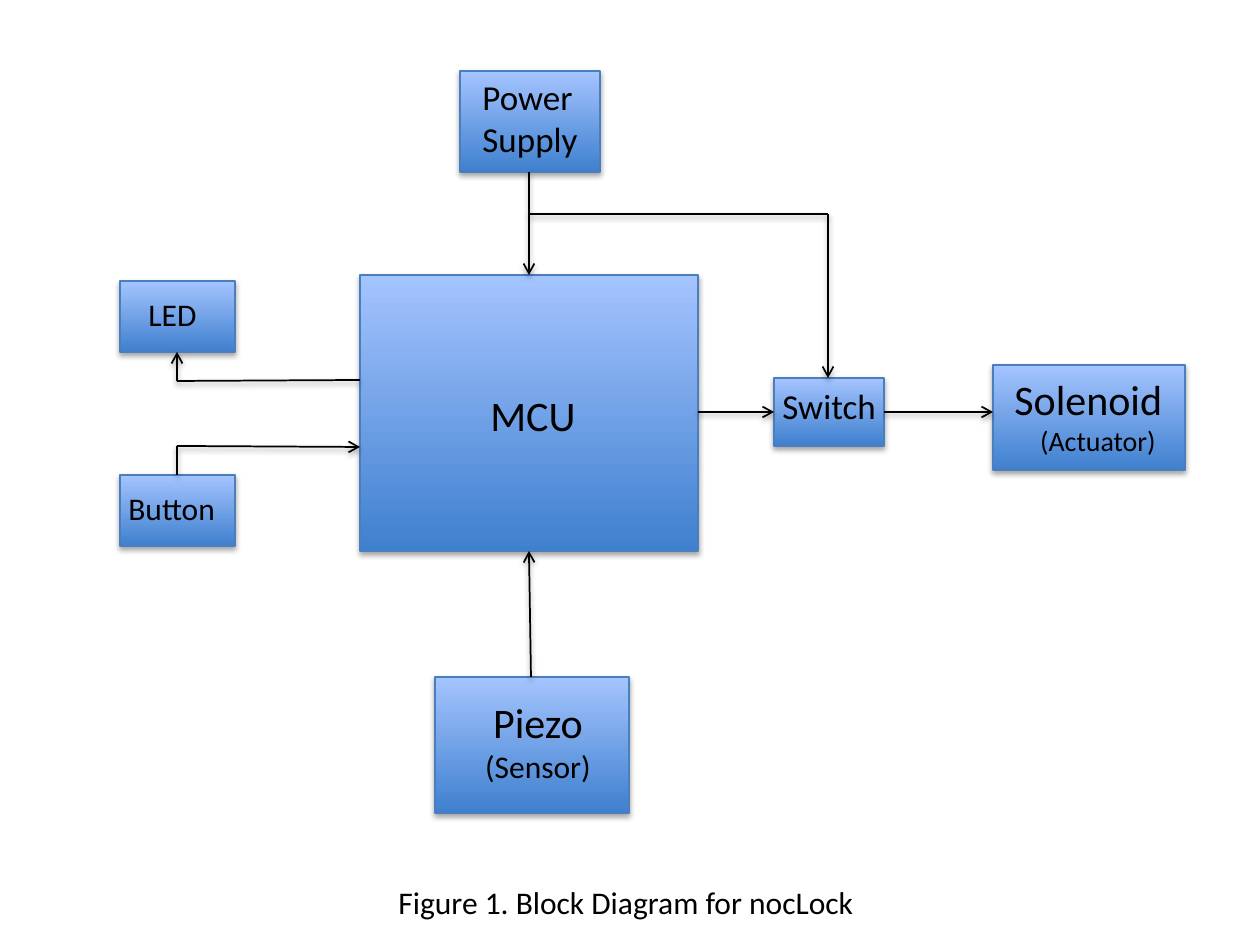
import pptx
import pptx.dml.color
import pptx.enum.shapes
import pptx.enum.text
import pptx.util
from lxml import etree
from pptx.oxml.ns import qn

EMU_PER_PX = 914400 / 126
FONT = "Calibri"
BLACK = "000000"
GRADIENT = ("3F80CE", "A4C4FF")  # bottom, top
BORDER = "4B7EBC"
LEFT = pptx.enum.text.PP_ALIGN.LEFT
CENTER = pptx.enum.text.PP_ALIGN.CENTER

# Block frame, label frame, label lines (text, size, alignment), label wraps
BLOCKS = [
    ((360, 275, 338, 276), (478, 383, 111, 63), [("MCU", 24, LEFT)], True),
    ((460, 71, 140, 101), (470, 69, 145, 97),
     [("Power", 20, LEFT), ("Supply", 20, LEFT)], True),
    ((774, 378, 110, 68), (770, 378, 156, 55), [("Switch", 20, LEFT)], True),
    ((993, 365, 192, 105), (1002, 367, 192, 97),
     [("Solenoid", 24, LEFT), ("(Actuator)", 16, CENTER)], True),
    ((435, 677, 194, 136), (472, 690, 132, 102),
     [("Piezo", 24, CENTER), ("(Sensor)", 18, CENTER)], False),
    ((120, 281, 115, 71), (136, 289, 96, 50), [("LED", 18, LEFT)], True),
    ((120, 475, 115, 71), (116, 483, 156, 50), [("Button", 18, LEFT)], True),
]

# Start, end, arrowhead at the end
WIRES = [
    ((529, 172), (529, 275), True),    # power supply to MCU
    ((529, 214), (828, 214), False),   # power branch to switch
    ((828, 214), (828, 378), True),
    ((698, 412), (774, 412), True),    # MCU to switch
    ((884, 412), (993, 412), True),    # switch to solenoid
    ((531, 677), (529, 551), True),    # piezo to MCU
    ((360, 380), (177, 381), False),   # MCU to LED
    ((177, 381), (177, 352), True),
    ((177, 446), (360, 447), True),    # button to MCU
    ((177, 446), (177, 475), False),
]


def px(value):
    return pptx.util.Emu(round(value * EMU_PER_PX))


def color(hex_string):
    return pptx.dml.color.RGBColor.from_string(hex_string)


def add_shadow(properties, distance, opacity):
    """Put a soft shadow below a shape or connector."""
    effects = properties.find(qn("a:effectLst"))
    if effects is None:
        effects = etree.SubElement(properties, qn("a:effectLst"))
    shadow = etree.SubElement(
        effects, qn("a:outerShdw"), blurRad="40000", dist=str(distance),
        dir="5400000", rotWithShape="0")
    shade = etree.SubElement(shadow, qn("a:srgbClr"), val=BLACK)
    etree.SubElement(shade, qn("a:alpha"), val=str(opacity * 1000))


def add_box(shapes, frame):
    shape = shapes.add_shape(
        pptx.enum.shapes.MSO_SHAPE.RECTANGLE, *map(px, frame))
    shape.fill.gradient()
    shape.fill.gradient_angle = 90
    for stop, hex_string in zip(shape.fill.gradient_stops, GRADIENT):
        stop.color.rgb = color(hex_string)
    shape.line.color.rgb = color(BORDER)
    shape.line.width = pptx.util.Pt(0.75)
    shape.shadow.inherit = False
    add_shadow(shape.element.spPr, 23000, 35)


def add_label(shapes, frame, lines, wrap=True):
    text_frame = shapes.add_textbox(*map(px, frame)).text_frame
    text_frame.word_wrap = wrap
    text_frame.auto_size = pptx.enum.text.MSO_AUTO_SIZE.SHAPE_TO_FIT_TEXT
    text_frame.text = "\n".join(text for text, _, _ in lines)
    for paragraph, (_, size, alignment) in zip(text_frame.paragraphs, lines):
        paragraph.alignment = alignment
        font = paragraph.runs[0].font
        font.name = FONT
        font.size = pptx.util.Pt(size)
        font.color.rgb = color(BLACK)


def add_wire(shapes, start, end, arrow):
    connector = shapes.add_connector(
        pptx.enum.shapes.MSO_CONNECTOR.STRAIGHT, *map(px, start + end))
    connector.line.color.rgb = color(BLACK)
    connector.line.width = pptx.util.Pt(1)
    properties = connector.element.spPr
    if arrow:
        etree.SubElement(
            properties.find(qn("a:ln")), qn("a:tailEnd"), type="arrow")
    add_shadow(properties, 20000, 38)


def main():
    presentation = pptx.Presentation()
    presentation.slide_width = px(1260)
    presentation.slide_height = px(945)
    slide = presentation.slides.add_slide(presentation.slide_layouts[6])

    # Blocks, each grouped with its label
    for box_frame, label_frame, lines, wrap in BLOCKS:
        group = slide.shapes.add_group_shape()
        add_box(group.shapes, box_frame)
        add_label(group.shapes, label_frame, lines, wrap)

    # Connections
    for start, end, arrow in WIRES:
        add_wire(slide.shapes, start, end, arrow)

    # Caption
    add_label(slide.shapes, (384, 877, 484, 50),
              [("Figure 1. Block Diagram for nocLock", 18, CENTER)])

    presentation.save("out.pptx")


if __name__ == "__main__":
    main()
